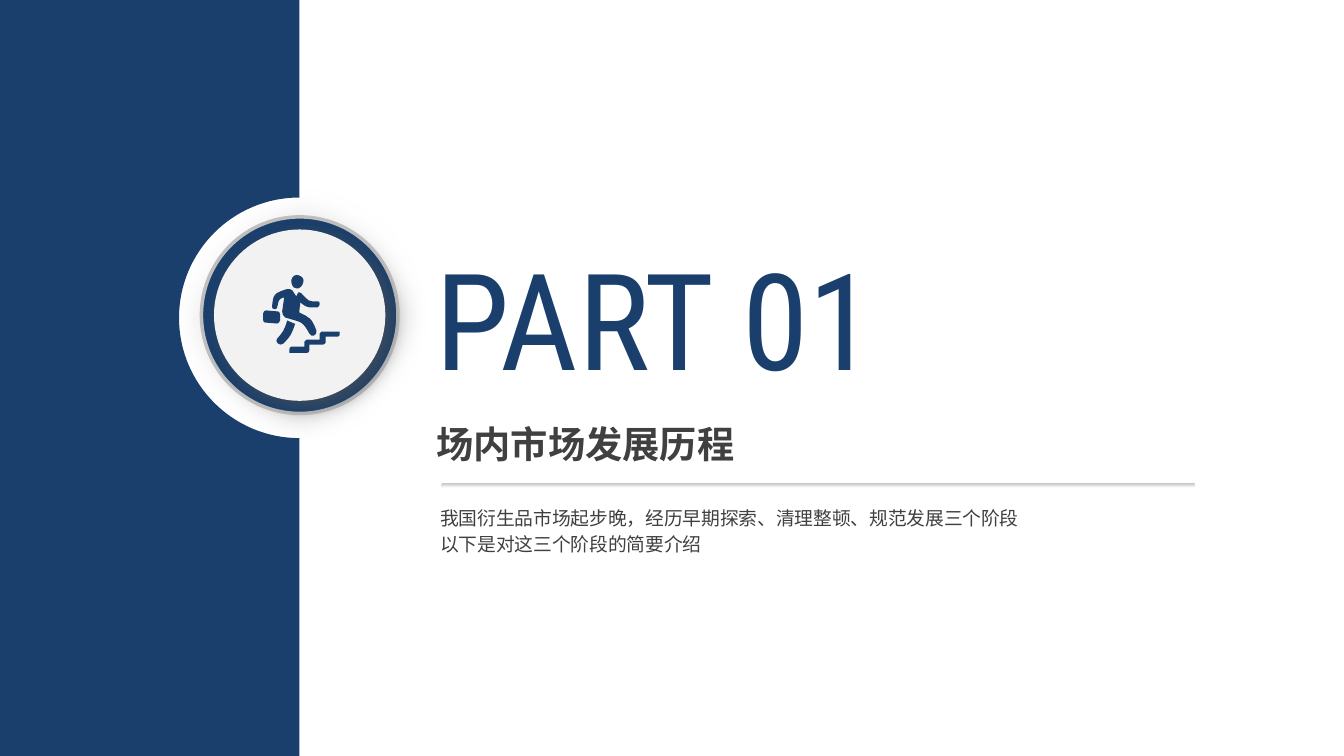
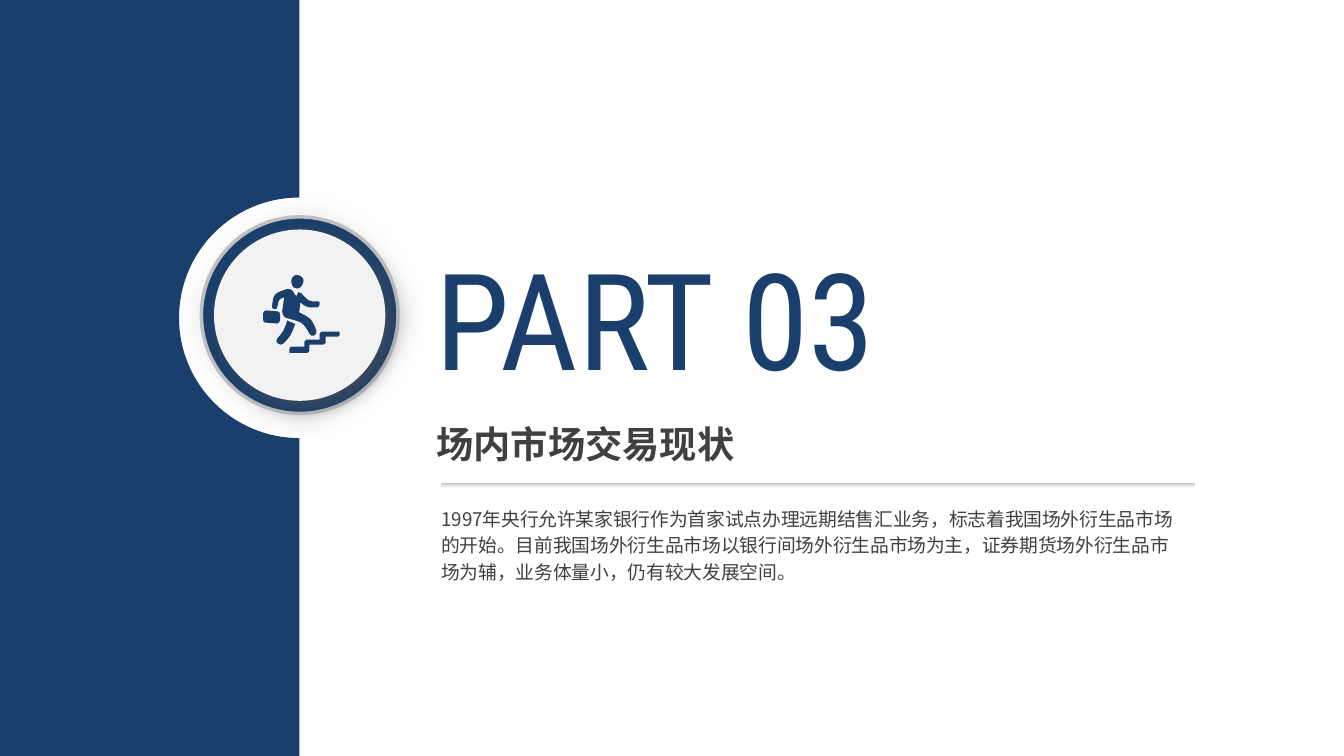
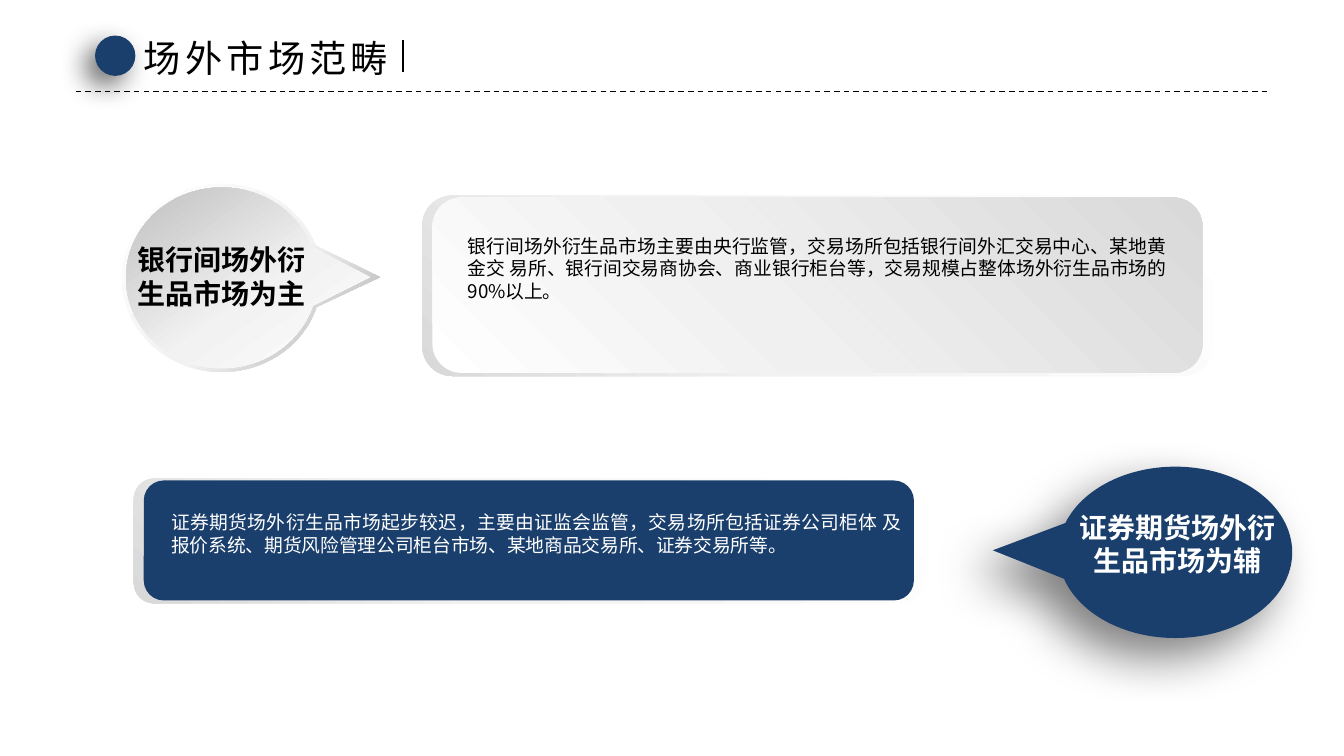
import math
from lxml import etree
from pptx import Presentation, util as u
from pptx.dml.color import RGBColor
from pptx.enum import dml, shapes as sh, text as tx
from pptx.oxml import parse_xml
from pptx.oxml.ns import qn, nsdecls

CELL = u.Inches(1 / 3)
COLS, ROWS = 40, 22.5
NAVY = RGBColor(0x1A, 0x3F, 0x6C)
INK = RGBColor(0x40, 0x40, 0x40)
PALE = RGBColor(0xF2, 0xF2, 0xF2)
MIST = RGBColor(0xF0, 0xF0, 0xF0)
ASH = RGBColor(0xD9, 0xD9, 0xD9)
GRAY = RGBColor(0xBF, 0xBF, 0xBF)
STONE = RGBColor(0xA6, 0xA6, 0xA6)
SLATE = RGBColor(0x52, 0x52, 0x52)
WHITE = RGBColor(0xFF, 0xFF, 0xFF)
BLACK = RGBColor(0, 0, 0)
SANS = "Noto Sans CJK SC"
MID = (8.92, 9.38)
FLAT = dict(margin_left=0, margin_right=0, margin_top=0, margin_bottom=0)
BODY = dict(size=u.Pt(13.33), name=SANS)
LABEL = dict(size=u.Pt(20), name=SANS, bold=True)

STEPS = [
    (28, 72), (41, 72), (41, 67), (41, 66, 42, 65, 43, 65), (56, 65), (56, 59),
    (56, 58, 57, 57, 58, 57), (76, 57), (76, 60), (76, 61, 75, 62, 74, 62),
    (62, 62), (62, 68), (62, 69, 60, 70, 59, 70), (46, 70), (46, 75),
    (46, 77, 45, 78, 44, 78), (26, 78), (26, 75), (26, 73, 27, 72, 28, 72)]
CASE = [
    (2, 48), (14, 49), (15, 49, 16, 48, 17, 46), (17, 40),
    (17, 39, 16, 37, 15, 37), (3, 36), (2, 36, 0, 37, 0, 39), (0, 45),
    (0, 47, 1, 48, 2, 48)]
LEG = [
    (14, 64), (20, 57, 21, 56, 24, 46), (26, 47, 29, 48, 31, 49), (32, 49),
    (28, 60, 28, 61, 20, 69), (17, 72, 11, 67, 14, 64)]
HEAD = [
    (35, 1), (39, 2, 41, 5, 40, 8), (39, 12, 36, 15, 33, 14),
    (29, 14, 28, 9, 28, 6), (29, 2, 32, 0, 35, 1)]
TORSO = [
    (35, 18), (35, 18, 37, 18, 38, 19), (46, 27, 44, 27, 54, 27),
    (57, 26, 57, 32, 54, 33), (45, 33, 44, 34, 37, 28), (36, 37), (36, 38),
    (46, 43, 48, 43, 53, 56), (54, 61, 48, 63, 46, 59),
    (39, 46, 38, 48, 22, 43), (20, 41, 19, 40, 19, 37), (21, 23),
    (15, 25, 16, 25, 14, 33), (14, 36, 8, 35, 9, 32),
    (10, 20, 11, 19, 23, 15), (25, 14, 28, 15, 29, 16), (33, 22), (35, 18)]


def grid(*nums):
    return [u.Emu(round(n * CELL)) for n in nums]


def put(obj, vals):
    for key, val in vals.items():
        setattr(obj, key, val)


def blend(shape, stops, angle):
    shape.fill.gradient()
    marks = "".join(
        f'<a:gs pos="{pos * 1000}"><a:srgbClr val="{tone}"/></a:gs>'
        for pos, tone in stops)
    old = shape._element.spPr.find(qn("a:gradFill"))
    old.getparent().replace(old, parse_xml(
        f'<a:gradFill {nsdecls("a")} rotWithShape="1"><a:gsLst>{marks}</a:gsLst>'
        f'<a:lin ang="{angle * 60000}" scaled="0"/></a:gradFill>'))


def paint(shape, fill):
    shape.line.fill.background()
    shape.shadow.inherit = False
    if isinstance(fill, RGBColor):
        shape.fill.solid()
        shape.fill.fore_color.rgb = fill
    else:
        blend(shape, *fill)
    return shape


def effect(shape, xml):
    shape._element.spPr.find(qn("a:effectLst")).append(parse_xml(xml))


def shade(shape, tone, alpha, blur, dist, angle):
    effect(shape, f'<a:outerShdw {nsdecls("a")} blurRad="{u.Pt(blur)}" '
           f'dist="{u.Pt(dist)}" dir="{angle * 60000}" algn="ctr" rotWithShape="0">'
           f'<a:srgbClr val="{tone}"><a:alpha val="{alpha * 1000}"/></a:srgbClr>'
           '</a:outerShdw>')


def disc(slide, mid, size, fill):
    box = grid(mid[0] - size / 2, mid[1] - size / 2, size, size)
    return paint(slide.shapes.add_shape(sh.MSO_SHAPE.OVAL, *box), fill)


def panel(slide, box, fill):
    kind = sh.MSO_SHAPE.ROUNDED_RECTANGLE
    return paint(slide.shapes.add_shape(kind, *grid(*box)), fill)


def outline(slide, loops, fill):
    loops = [[grid(*spot) for spot in loop] for loop in loops]
    pen = slide.shapes.build_freeform(*loops[0][0], scale=1.0)
    for i, loop in enumerate(loops):
        if i:
            pen.move_to(*loop[0])
        pen.add_line_segments([spot[-2:] for spot in loop[1:]], close=True)
    shape = pen.convert_to_shape()
    sides = list(shape._element.iter(qn("a:lnTo")))
    parts = [spot for loop in loops for spot in loop[1:]]
    for side, part in zip(sides, parts):
        if len(part) == 6:
            bend(side, part, shape.left, shape.top)
    return paint(shape, fill)


def bend(side, part, left, top):
    curve = etree.Element(qn("a:cubicBezTo"))
    for x, y in zip(part[::2], part[1::2]):
        etree.SubElement(curve, qn("a:pt"), x=str(x - left), y=str(y - top))
    side.getparent().replace(side, curve)


def arc(mid, radii, *stops):
    def at(turn, push=0):
        cos, sin = math.cos(turn), math.sin(turn)
        return (mid[0] + radii[0] * (cos - push * sin),
                mid[1] + radii[1] * (sin + push * cos))

    turns = [math.radians(stop) for stop in stops]
    spots = [at(turns[0])]
    for a, b in zip(turns, turns[1:]):
        push = 4 / 3 * math.tan((b - a) / 4)
        spots.append(at(a, push) + at(b, -push) + at(b))
    return spots


def trace(loop, left, top, unit=0.03):
    return [tuple((top if i % 2 else left) + n * unit for i, n in enumerate(spot))
            for spot in loop]


def bubble(slide, mid, radii, tip, fill):
    turn, near, far = (0, 18, 20) if tip[0] > mid[0] else (180, 20, 18)
    stops = [turn + n for n in (near, 90, 180, 270, 360 - far)]
    return outline(slide, [[tip] + join(arc(mid, radii, *stops))], fill)


def join(spots):
    return [spots[0]] + spots[1:]


def write(slide, box, lines, font, tone, para={}, frame={}, space=0):
    area = slide.shapes.add_textbox(*grid(*box)).text_frame
    put(area, dict(word_wrap=True, auto_size=tx.MSO_AUTO_SIZE.SHAPE_TO_FIT_TEXT) | frame)
    for i, line in enumerate(lines):
        item = area.add_paragraph() if i else area.paragraphs[0]
        put(item, para)
        run = item.add_run()
        run.text = line
        put(run.font, font)
        run.font.color.rgb = tone
        props = run._r.get_or_add_rPr()
        if space:
            props.set("spc", str(space * 100))
        etree.SubElement(props, qn("a:ea")).set("typeface", SANS)


def stroke(slide, ends, vals):
    line = slide.shapes.add_connector(sh.MSO_CONNECTOR.STRAIGHT, *grid(*ends))
    put(line.line, vals)
    line.line.color.rgb = BLACK
    etree.SubElement(line._element.spPr, qn("a:effectLst"))


def badge(slide):
    glow = disc(slide, MID, 7.83, ([(0, WHITE), (100, GRAY)], 45))
    effect(glow, f'<a:softEdge {nsdecls("a")} rad="{u.Inches(0.25)}"/>')
    ring = disc(slide, MID, 5.85, NAVY)
    ring.line.color.rgb = GRAY
    ring.line.width = u.Pt(2.5)
    shade(disc(slide, MID, 5.1, PALE), SLATE, 64, 12, 5, 45)


def icon(slide):
    for loops in ([STEPS], [CASE, LEG, HEAD, TORSO]):
        outline(slide, [trace(loop, 7.83, 8.16) for loop in loops], NAVY)


def part(slide, num, name, lines, spot):
    badge(slide)
    notch = arc((8.91, 9.46), (3.58, 3.58), 270, 180, 90)
    outline(slide, [[(0, 0), (8.91, 0), *notch, (8.91, ROWS), (0, ROWS)]], NAVY)
    rule = panel(slide, (13.14, 14.37, 22.44, 0.15), ([(0, GRAY), (100, WHITE)], 90))
    rule.adjustments[0] = 0.5
    write(slide, (12.66, 6.87, 15.75, 5.16), [f"PART {num}"],
          dict(size=u.Pt(96), name="Roboto Condensed"), NAVY)
    write(slide, (12.69, 12.39, 12.33, 1.65), [name],
          dict(size=u.Pt(26.6), name="League Spartan", bold=True), INK)
    write(slide, (*spot, 22.77, 1.92), lines, BODY, INK, dict(line_spacing=1.2))
    icon(slide)


def header(slide, name):
    stroke(slide, (2.25, 2.73, 37.74, 2.73),
           dict(width=u.Pt(1), dash_style=dml.MSO_LINE.DASH))
    shade(disc(slide, (3.43, 1.66), 1.2, NAVY), BLACK, 60, 20, 10, 135)
    write(slide, (3.98, 0.9, 8, 1.65), [name], dict(size=u.Pt(26.6), name=SANS),
          BLACK, frame=dict(word_wrap=False), space=3)
    stroke(slide, (12, 1.2, 12, 2.13), dict(width=u.Pt(1.5)))


def card(slide, left, top, high, fill):
    edge = [(0, WHITE), (62, PALE), (100, ASH)]
    panel(slide, (left, top, 23.52, high), (edge, 135))
    panel(slide, (left + 0.3, top + 0.06, 22.92, high - 0.15), fill)


def scope(slide):
    header(slide, "场外市场范畴")
    blue = bubble(slide, (34.98, 16.44), (3.48, 2.55), (29.55, 16.38), NAVY)
    shade(blue, BLACK, 50, 35, 20, 135)
    bubble(slide, (6.6, 8.27), (2.97, 2.8), (11.31, 8.25),
           ([(0, WHITE), (55, PALE), (100, STONE)], 45))
    bubble(slide, (6.6, 8.27), (2.85, 2.69), (11.01, 8.25),
           ([(0, WHITE), (43, PALE), (100, GRAY)], 235))
    card(slide, 12.57, 5.82, 5.37, ([(0, WHITE), (42, MIST), (100, ASH)], 315))
    card(slide, 3.98, 14.24, 3.72, NAVY)
    full = dict(alignment=tx.PP_ALIGN.JUSTIFY)
    mid = dict(alignment=tx.PP_ALIGN.CENTER)
    for box, words, font, tone, para in (
        ((13.92, 6.99, 20.79, 2.04),
         "银行间场外衍生品市场主要由央行监管，交易场所包括银行间外汇交易中心、某地黄金交 易所、"
         "银行间交易商协会、商业银行柜台等，交易规模占整体场外衍生品市场的 90%以上。",
         BODY, BLACK, full),
        ((4.02, 7.23, 5.13, 2.01), "银行间场外衍生品市场为主", LABEL, BLACK, mid),
        ((31.98, 15.19, 6.15, 2.01), "证券期货场外衍生品市场为辅", LABEL, WHITE, mid),
        ((5.1, 15.21, 21.72, 1.35),
         "证券期货场外衍生品市场起步较迟，主要由证监会监管，交易场所包括证券公司柜体 及报价系统、"
         "期货风险管理公司柜台市场、某地商品交易所、证券交易所等。",
         BODY, WHITE, full),
    ):
        write(slide, box, [words], font, tone, para, FLAT)


def main():
    deck = Presentation()
    deck.slide_width, deck.slide_height = grid(COLS, ROWS)
    first, second, third = [deck.slides.add_slide(deck.slide_layouts[6])
                            for _ in range(3)]
    part(first, "01", "场内市场发展历程", [
        "我国衍生品市场起步晚，经历早期探索、清理整顿、规范发展三个阶段",
        "以下是对这三个阶段的简要介绍"], (12.81, 14.79))
    part(second, "03", "场内市场交易现状", [
        "1997年央行允许某家银行作为首家试点办理远期结售汇业务，标志着我国场外衍生品市场的开始。"
        "目前我国场外衍生品市场以银行间场外衍生品市场为主，证券期货场外衍生品市场为辅，"
        "业务体量小，仍有较大发展空间。"], (12.84, 14.82))
    scope(third)
    deck.save("out.pptx")


if __name__ == "__main__":
    main()
